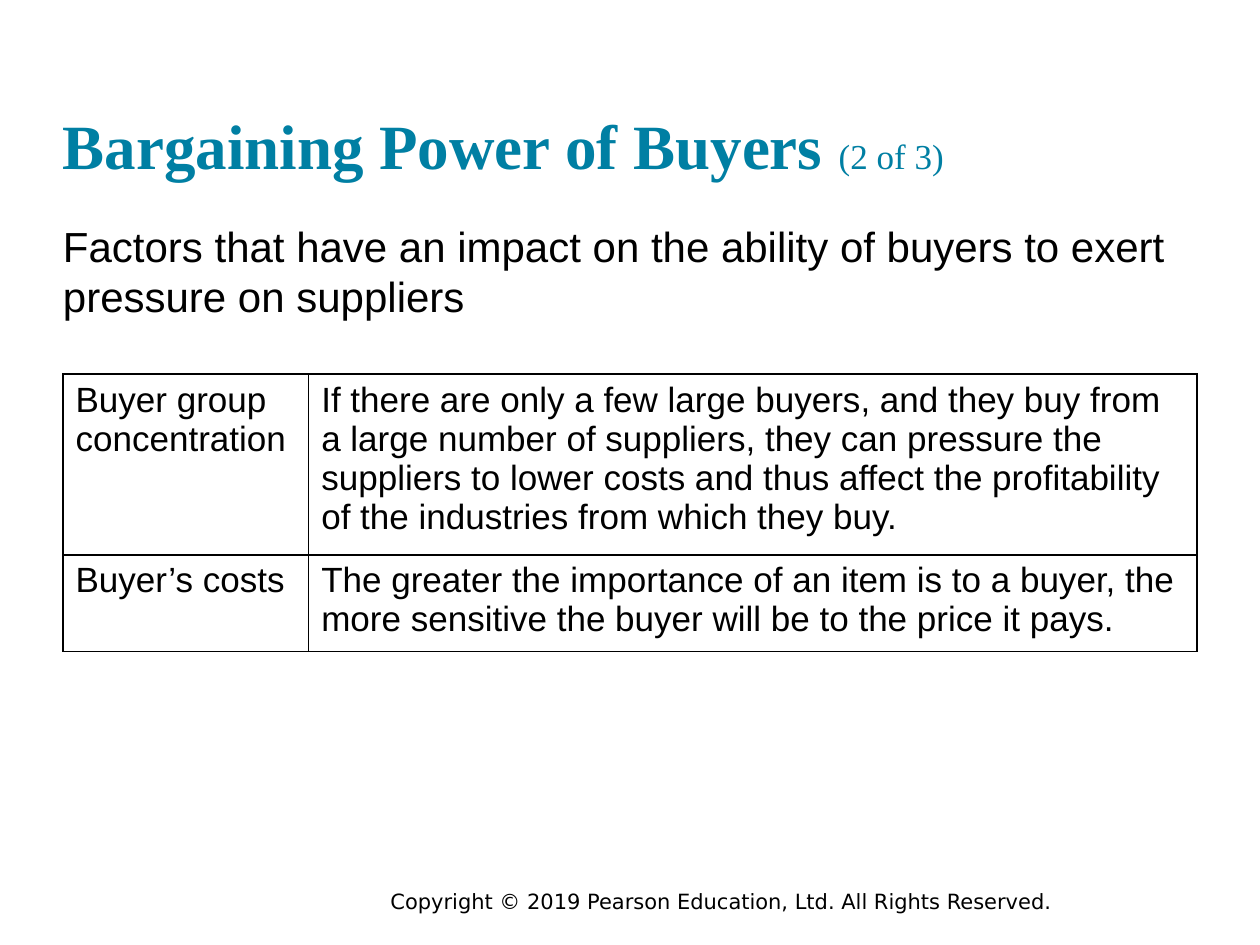
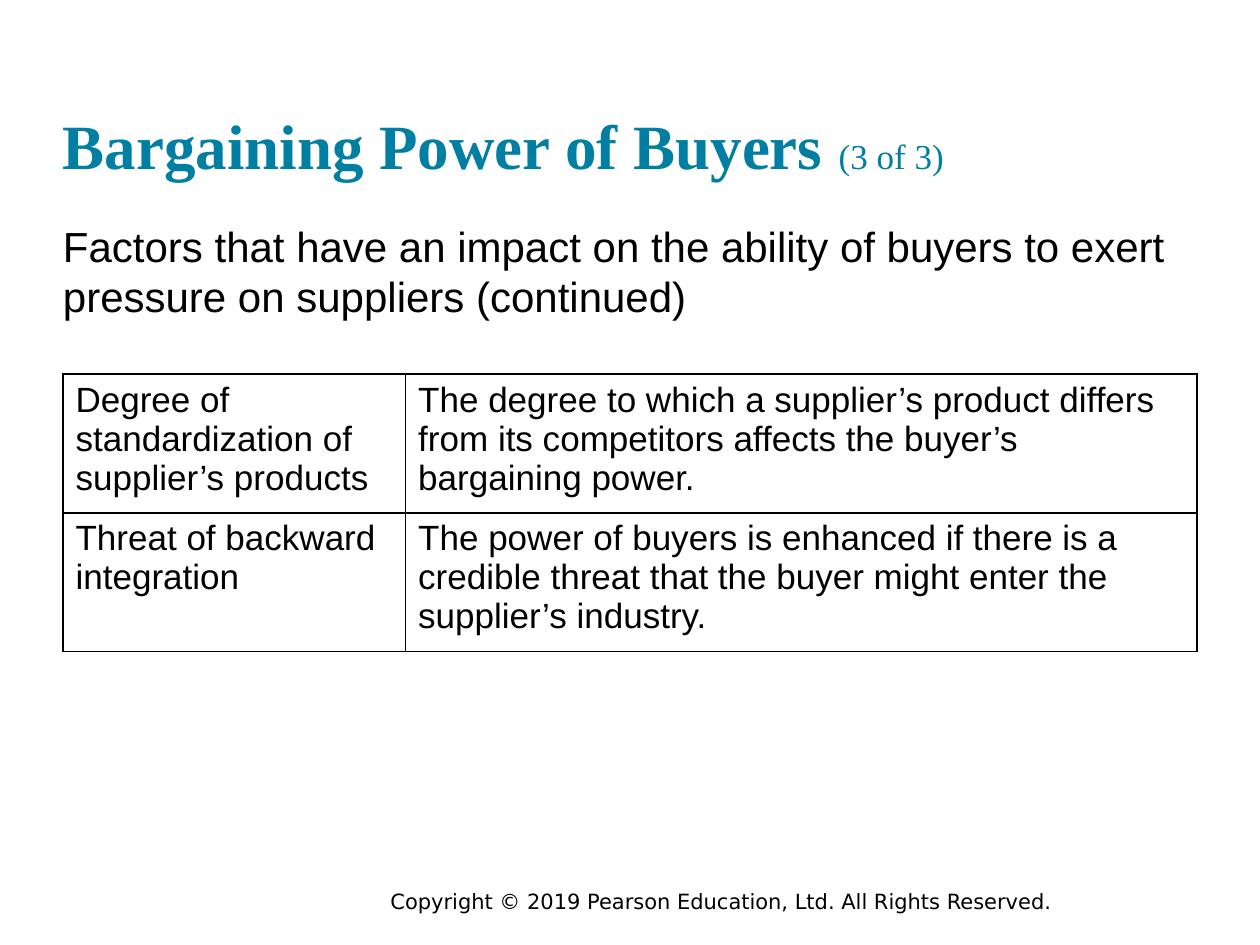
from lxml import etree
from pptx import Presentation
from pptx.dml.color import RGBColor
from pptx.enum.text import MSO_ANCHOR
from pptx.oxml.ns import qn
from pptx.util import Pt

BOTTOM, TOP = MSO_ANCHOR.BOTTOM, MSO_ANCHOR.TOP
COLORS = {"title": "007FA3", "text": "000000", "border": "000000", "cell": "FFFFFF"}
SERIF, SANS, FOOTER_FONT = "Times New Roman", "Arial", "DejaVu Sans"
LEFT, WIDTH = 36, 648
TITLE = "Bargaining Power of Buyers "
INTRO = "Factors that have an impact on the ability of buyers to exert pressure on suppliers"
FOOTER = "Copyright © 2019 Pearson Education, Ltd. All Rights Reserved."


def add_run(p, text, font=SANS, size=20, color="text", bold=False):
    r = p.add_run()
    r.text = text
    r.font.name, r.font.size, r.font.bold = font, Pt(size), bold
    r.font.color.rgb = RGBColor.from_string(COLORS[color])


def add_text_box(s, left, top, width, height, anchor=TOP, inset=True):
    """Add an empty wrapping text box and return its first paragraph."""
    tf = s.shapes.add_textbox(Pt(left), Pt(top), Pt(width), Pt(height)).text_frame
    tf.word_wrap = True
    tf.vertical_anchor = anchor
    if not inset:
        tf.margin_left = tf.margin_top = tf.margin_right = tf.margin_bottom = 0
    return tf.paragraphs[0]


def add_title(s, part):
    p = add_text_box(s, LEFT, 17.5, WIDTH, 86.4, anchor=BOTTOM, inset=False)
    add_run(p, TITLE, font=SERIF, size=36, color="title", bold=True)
    add_run(p, part, font=SERIF, color="title")


def add_intro(s, text):
    p = add_text_box(s, LEFT, 126, WIDTH, 60, inset=False)
    add_run(p, text, size=24)


def add_footer(s):
    p = add_text_box(s, 216, 504, 480, 21.6)
    add_run(p, FOOTER, font=FOOTER_FONT, size=12)


def set_borders(cell):
    tc_pr = cell._tc.get_or_add_tcPr()
    for side in ("a:lnL", "a:lnR", "a:lnT", "a:lnB"):
        ln = etree.SubElement(tc_pr, qn(side), w=str(Pt(1)))
        fill = etree.SubElement(ln, qn("a:solidFill"))
        etree.SubElement(fill, qn("a:srgbClr"), val=COLORS["border"])


def add_factor_table(s, factors, name_width, row_heights):
    table = s.shapes.add_table(len(factors), 2, Pt(LEFT), Pt(213.8),
                               Pt(WIDTH), Pt(sum(row_heights))).table
    table.first_row = table.horz_banding = False
    for column, width in zip(table.columns, (name_width, WIDTH - name_width)):
        column.width = Pt(width)
    for row, height, texts in zip(table.rows, row_heights, factors):
        row.height = Pt(height)
        for cell, text in zip(row.cells, texts):
            set_borders(cell)
            cell.fill.solid()
            cell.fill.fore_color.rgb = RGBColor.from_string(COLORS["cell"])
            add_run(cell.text_frame.paragraphs[0], text)


def add_factor_slide(prs, part, intro, factors, name_width, row_heights):
    s = prs.slides.add_slide(prs.slide_layouts[6])
    add_footer(s)
    add_title(s, part)
    add_intro(s, intro)
    add_factor_table(s, factors, name_width, row_heights)


def main():
    prs = Presentation()
    prs.slide_width, prs.slide_height = Pt(720), Pt(540)
    add_factor_slide(prs, "(2 of 3)", INTRO, [
        ("Buyer group concentration",
         "If there are only a few large buyers, and they buy from a large number of "
         "suppliers, they can pressure the suppliers to lower costs and thus affect "
         "the profitability of the industries from which they buy."),
        ("Buyer’s costs",
         "The greater the importance of an item is to a buyer, the more sensitive "
         "the buyer will be to the price it pays."),
    ], name_width=140.4, row_heights=(96, 51.5))
    add_factor_slide(prs, "(3 of 3)", INTRO + " (continued)", [
        ("Degree of standardization of supplier’s products",
         "The degree to which a supplier’s product differs from its competitors "
         "affects the buyer’s bargaining power."),
        ("Threat of backward integration",
         "The power of buyers is enhanced if there is a credible threat that the "
         "buyer might enter the supplier’s industry."),
    ], name_width=195.8, row_heights=(74, 74))
    prs.save("out.pptx")


if __name__ == "__main__":
    main()
